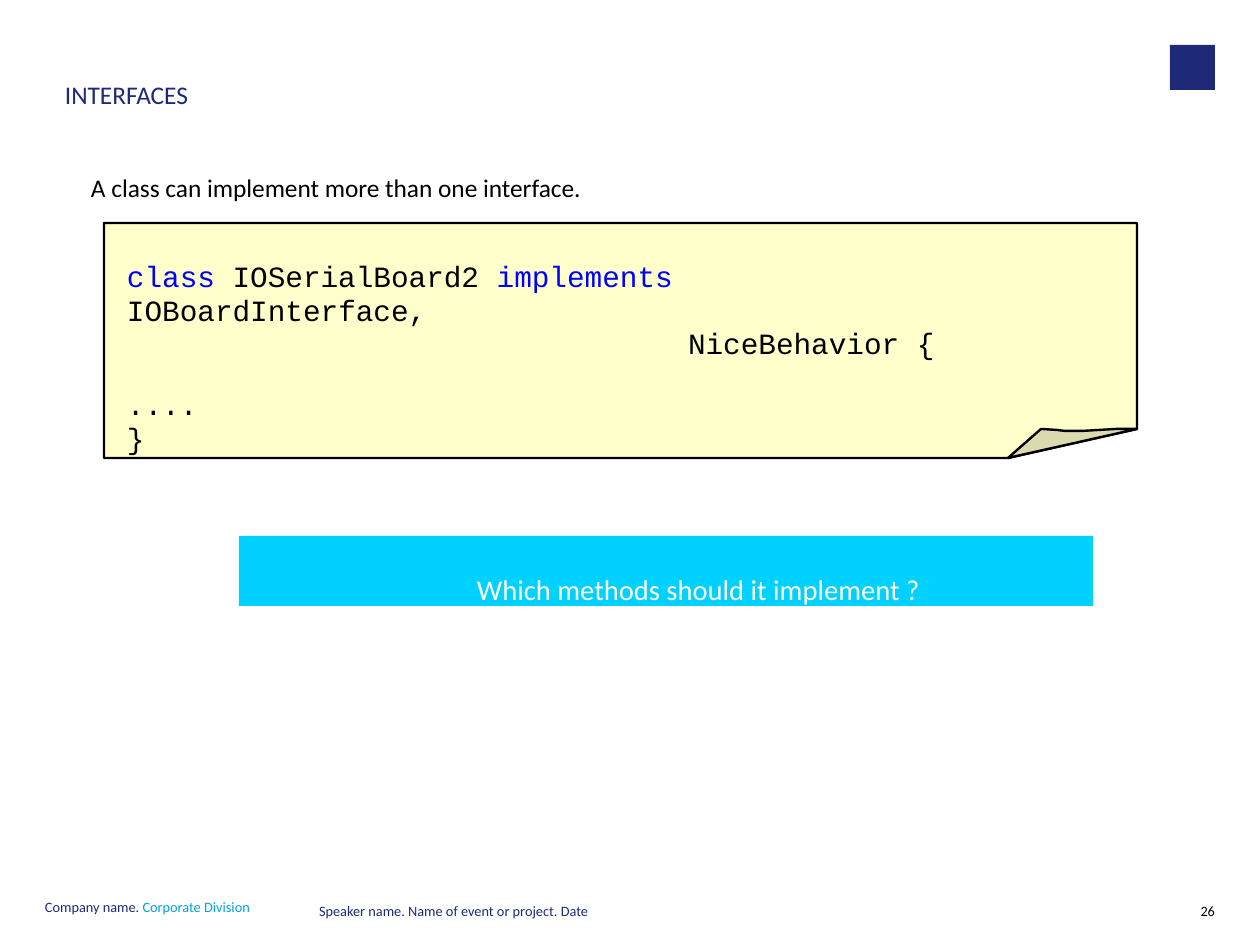
from dataclasses import dataclass

from pptx import Presentation
from pptx.dml.color import RGBColor
from pptx.enum.shapes import MSO_SHAPE
from pptx.enum.text import MSO_ANCHOR, PP_ALIGN
from pptx.util import Pt

PX = 8000
RECTANGLE = MSO_SHAPE.RECTANGLE
TOP, MIDDLE = MSO_ANCHOR.TOP, MSO_ANCHOR.MIDDLE
LEFT, CENTER, RIGHT = PP_ALIGN.LEFT, PP_ALIGN.CENTER, PP_ALIGN.RIGHT


@dataclass(frozen=True)
class Theme:
    sans: str = "Calibri"
    mono: str = "Courier New"
    navy: str = "1E2A78"
    sky: str = "00A3E0"
    cyan: str = "00D1FF"
    black: str = "000000"
    white: str = "FFFFFF"
    keyword: str = "0000FF"
    paper: str = "FFFFCC"
    fold: str = "DBDBAF"
    small: float = 9
    body: float = 16
    question: float = 18
    code: float = 18.5
    outline: float = 1.5


def add_paragraph(frame, spans, *, size, font, first=False, align=LEFT,
                  spacing=None, before=None, indent=0):
    para = frame.paragraphs[0] if first else frame.add_paragraph()
    para.alignment = align
    if spacing:
        para.line_spacing = spacing
    if before:
        para.space_before = Pt(before)
    if indent:
        properties = para._p.get_or_add_pPr()
        properties.set("marL", str(indent * PX))
        properties.set("indent", "0")
    for text, color in spans:
        span = para.add_run()
        span.text = text
        span.font.size = Pt(size)
        span.font.name = font
        span.font.color.rgb = RGBColor.from_string(color)


class SlideBuilder:
    def __init__(self, page, theme):
        self.page = page
        self.theme = theme

    def paint(self, shape, fill, line=None):
        shape.shadow.inherit = False
        shape.fill.solid()
        shape.fill.fore_color.rgb = RGBColor.from_string(fill)
        if line:
            shape.line.color.rgb = RGBColor.from_string(line)
            shape.line.width = Pt(self.theme.outline)
        else:
            shape.line.fill.background()
        return shape

    def rectangle(self, left, top, width, height, fill):
        edges = (edge * PX for edge in (left, top, width, height))
        return self.paint(self.page.shapes.add_shape(RECTANGLE, *edges), fill)

    def outline(self, points, fill):
        builder = self.page.shapes.build_freeform(*points[0], scale=PX)
        builder.add_line_segments(points[1:], close=True)
        return self.paint(builder.convert_to_shape(), fill, self.theme.black)

    def frame(self, box, anchor=TOP, inset_left=0, inset_top=0):
        frame = box.text_frame
        frame.word_wrap = True
        frame.vertical_anchor = anchor
        frame.margin_left = inset_left * PX
        frame.margin_top = inset_top * PX
        frame.margin_right = frame.margin_bottom = 0
        return frame

    def text(self, left, top, width, height, paragraphs, *, anchor=TOP,
             inset_left=0, **style):
        edges = (edge * PX for edge in (left, top, width, height))
        box = self.page.shapes.add_textbox(*edges)
        frame = self.frame(box, anchor, inset_left)
        for index, (spans, extra) in enumerate(paragraphs):
            add_paragraph(frame, spans, first=index == 0, **{**style, **extra})


def main():
    theme = Theme()
    deck = Presentation()
    deck.slide_width, deck.slide_height = 1260 * PX, 945 * PX
    page = deck.slides.add_slide(deck.slide_layouts[6])
    slide = SlideBuilder(page, theme)

    footer = dict(size=theme.small, font=theme.sans, spacing=Pt(theme.small))
    slide.text(45, 901, 250, 23, [
        ([("Company name. ", theme.navy), ("Corporate Division", theme.sky)], {}),
    ], **footer)
    slide.text(1170, 901, 45, 23, [([("26", theme.black)], {})],
               anchor=MIDDLE, align=RIGHT, **footer)
    slide.text(319, 901, 617, 23, [
        ([("Speaker name. Name of event or project. Date", theme.navy)], {}),
    ], anchor=MIDDLE, **footer)
    slide.rectangle(1170, 45, 45, 45, theme.navy)

    slide.text(65, 83, 1082, 70, [([("INTERFACES", theme.navy)], {})],
               size=theme.body, font=theme.sans, spacing=0.9)
    slide.text(89, 172, 998, 32, [
        ([("A class can implement more than one interface.", theme.black)], {}),
    ], inset_left=2, size=theme.body, font=theme.sans)

    fold_right, fold_bottom = (1137, 429), (1008, 458)
    slide.outline([fold_right, (1137, 223), (104, 223), (104, 458), fold_bottom],
                  theme.paper)
    slide.outline([fold_right, (1116, 429), (1082, 431), (1065, 431),
                   (1057, 430), (1041, 429), fold_bottom], theme.fold)

    banner = slide.rectangle(239, 536, 854, 70, theme.cyan)
    add_paragraph(slide.frame(banner, inset_left=65, inset_top=36),
                  [("Which methods should it implement ?", theme.white)],
                  first=True, align=CENTER, size=theme.question, font=theme.sans)

    slide.text(125, 260, 861, 165, [
        ([("class ", theme.keyword), ("IOSerialBoard2 ", theme.black),
          ("implements ", theme.keyword), ("IOBoardInterface,", theme.black)], {}),
        ([("NiceBehavior {", theme.black)], {"indent": 561}),
        ([("....", theme.black)], {"before": 17.6}),
        ([("}", theme.black)], {}),
    ], inset_left=2, size=theme.code, font=theme.mono, spacing=Pt(21.1))

    deck.save("out.pptx")


if __name__ == "__main__":
    main()
